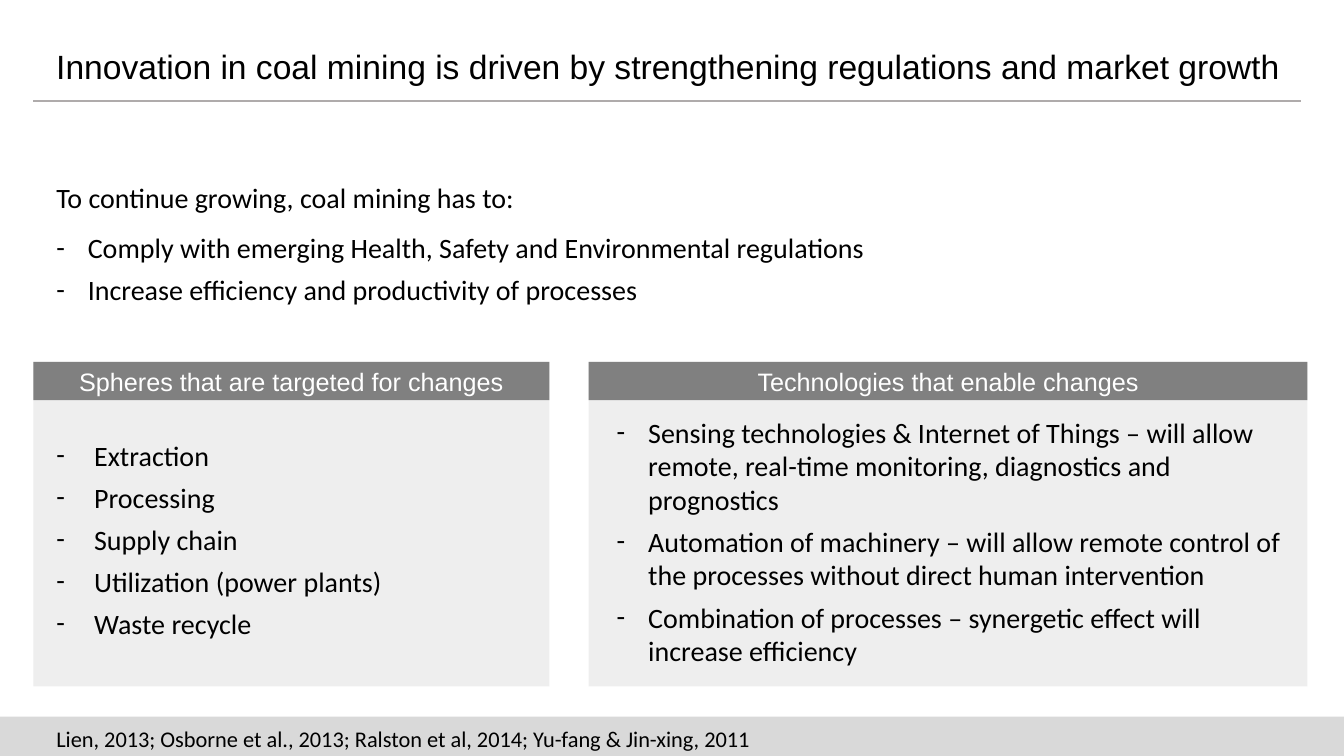
"""Build the slide on what drives innovation in coal mining."""
import dataclasses

import lxml.etree
import pptx
import pptx.dml.color
import pptx.enum.shapes
import pptx.enum.text
import pptx.oxml.ns
import pptx.slide
import pptx.text.text
import pptx.util

Pt = pptx.util.Pt
PANEL_TOP = 258.5
PANEL_HEIGHT = 231.8
HEADER_HEIGHT = 27.4
TEXT_LEFT = 33.1


@dataclasses.dataclass(frozen=True)
class Frame:
    left: float
    top: float
    width: float
    height: float


@dataclasses.dataclass(frozen=True)
class Line:
    text: str
    after: float = 0
    margin: float = 0
    hanging: float = 0
    level: int = 0


@dataclasses.dataclass(frozen=True)
class TextBlock:
    frame: Frame
    lines: list[Line]
    size: float = 20
    font: str = "Calibri"
    wrap: bool = False


@dataclasses.dataclass(frozen=True)
class Panel:
    left: float
    width: float
    heading: str


def bullets(texts: list[str], margin: float, hanging: float, level: int = 0) -> list[Line]:
    """Return dashed lines that share one indent."""
    return [Line(text, 6, margin, hanging, level) for text in texts]


PANELS = [
    Panel(23.8, 368.6, "Spheres that are targeted for changes"),
    Panel(420.5, 513.4, "Technologies that enable changes"),
]
FOOTER = Frame(0, 511.9, 960, 30.2)
TEXT_BLOCKS = [
    TextBlock(
        Frame(TEXT_LEFT, 29.5, 897.8, 36),
        [Line("Innovation in coal mining is driven by strengthening regulations and market growth")],
        size=24,
        font="Arial",
    ),
    TextBlock(
        Frame(TEXT_LEFT, 125.3, 596.9, 97.9),
        [Line("To continue growing, coal mining has to:", after=12)]
        + bullets(
            [
                "Comply with emerging Health, Safety and Environmental regulations",
                "Increase efficiency and productivity of processes",
            ],
            22.5,
            22.5,
        ),
    ),
    TextBlock(
        Frame(TEXT_LEFT, 309.6, 359.3, 152.6),
        bullets(
            ["Extraction", "Processing", "Supply chain", "Utilization (power plants)", "Waste recycle"],
            27,
            27,
        ),
        wrap=True,
    ),
    TextBlock(
        Frame(397.4, 293, 536.4, 189.4),
        bullets(
            [
                "Sensing technologies & Internet of Things – will allow remote, real-time monitoring, "
                "diagnostics and prognostics",
                "Automation of machinery – will allow remote control of the processes "
                "without direct human intervention",
                "Combination of processes – synergetic effect will increase efficiency",
            ],
            58.5,
            22.5,
            level=1,
        ),
        wrap=True,
    ),
    TextBlock(
        Frame(TEXT_LEFT, 514.1, 517, 26.6),
        [Line("Lien, 2013; Osborne et al., 2013; Ralston et al, 2014; Yu-fang & Jin-xing, 2011")],
        size=16,
    ),
]


def color(value: str) -> pptx.dml.color.RGBColor:
    """Turn a hex string into a colour."""
    return pptx.dml.color.RGBColor.from_string(value)


def add_span(para: pptx.text.text._Paragraph, text: str, size: float, font: str, ink: str) -> None:
    """Add one styled run to a paragraph."""
    span = para.add_run()
    span.text = text
    span.font.size = Pt(size)
    span.font.name = font
    span.font.color.rgb = color(ink)


def add_dash(para: pptx.text.text._Paragraph, line: Line) -> None:
    """Give a paragraph a hanging dash."""
    properties = para._p.get_or_add_pPr()
    properties.set("marL", str(int(Pt(line.margin))))
    properties.set("indent", str(int(Pt(-line.hanging))))
    lxml.etree.SubElement(properties, pptx.oxml.ns.qn("a:buFont"), typeface="Calibri")
    lxml.etree.SubElement(properties, pptx.oxml.ns.qn("a:buChar"), char="-")


def add_text_block(page: pptx.slide.Slide, block: TextBlock) -> None:
    """Draw a text box with its paragraphs."""
    box = page.shapes.add_textbox(*map(Pt, dataclasses.astuple(block.frame)))
    body = box.text_frame
    body.word_wrap = block.wrap
    body.auto_size = pptx.enum.text.MSO_AUTO_SIZE.SHAPE_TO_FIT_TEXT
    for index, line in enumerate(block.lines):
        para = body.add_paragraph() if index else body.paragraphs[0]
        para.level = line.level
        para.space_after = Pt(line.after)
        if line.hanging:
            add_dash(para, line)
        add_span(para, line.text, block.size, block.font, "000000")


def add_bar(page: pptx.slide.Slide, frame: Frame, fill: str, heading: str = "") -> None:
    """Draw a plain rectangle with an optional centred heading."""
    box = page.shapes.add_shape(
        pptx.enum.shapes.MSO_SHAPE.RECTANGLE, *map(Pt, dataclasses.astuple(frame))
    )
    box.shadow.inherit = False
    box.fill.solid()
    box.fill.fore_color.rgb = color(fill)
    box.line.fill.background()
    if heading:
        box.text_frame.word_wrap = True
        box.text_frame.vertical_anchor = pptx.enum.text.MSO_ANCHOR.MIDDLE
        para = box.text_frame.paragraphs[0]
        para.alignment = pptx.enum.text.PP_ALIGN.CENTER
        add_span(para, heading, 18, "Arial", "FFFFFF")


def add_title_rule(page: pptx.slide.Slide) -> None:
    """Draw the line under the title."""
    rule = page.shapes.add_connector(
        pptx.enum.shapes.MSO_CONNECTOR.STRAIGHT, Pt(23.8), Pt(72), Pt(929.5), Pt(72)
    )
    rule.line.color.rgb = color("AFABAB")
    rule.line.width = Pt(1.5)
    lxml.etree.SubElement(rule._element.spPr, pptx.oxml.ns.qn("a:effectLst"))


def main() -> None:
    """Build and save the deck."""
    deck = pptx.Presentation()
    deck.slide_width, deck.slide_height = Pt(960), Pt(540)
    page = deck.slides.add_slide(deck.slide_layouts[6])
    add_title_rule(page)
    for panel in PANELS:
        add_bar(page, Frame(panel.left, PANEL_TOP, panel.width, PANEL_HEIGHT), "EEEEEE")
        add_bar(page, Frame(panel.left, PANEL_TOP, panel.width, HEADER_HEIGHT), "808080", panel.heading)
    add_bar(page, FOOTER, "D9D9D9")
    for block in TEXT_BLOCKS:
        add_text_block(page, block)
    deck.save("out.pptx")


if __name__ == "__main__":
    main()
